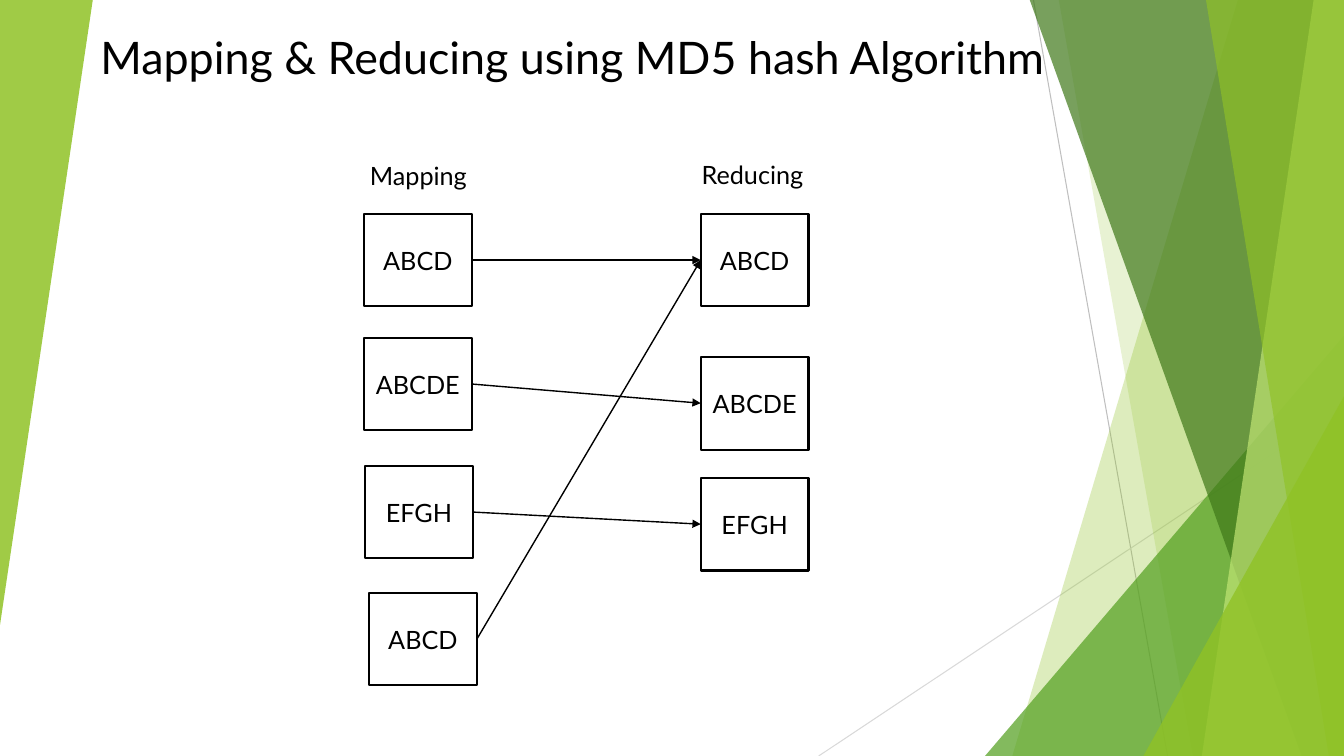
from pptx import Presentation
from pptx.dml.color import RGBColor
from pptx.enum.shapes import MSO_CONNECTOR, MSO_SHAPE
from pptx.enum.text import MSO_ANCHOR, MSO_AUTO_SIZE, PP_ALIGN
from pptx.oxml.ns import qn
from pptx.util import Inches, Pt
from lxml.etree import SubElement

FONT = "Lato"
BLACK, WHITE, LIME = "000000", "FFFFFF", "90C226"
TOP, RIGHT, BOTTOM = -0.01, 13.33, 7.5
BOX_W, BOX_H = 1.07, 0.92
LEFT_SITE, RIGHT_SITE = 1, 3


def color(code):
    return RGBColor.from_string(code)


def style(para, size, align=PP_ALIGN.LEFT):
    para.alignment = align
    para.font.name = FONT
    para.font.size = Pt(size)
    para.font.color.rgb = color(BLACK)


def tint(shape, code, alpha):
    """Fill a facet with a see-through colour and no outline."""
    shape.shadow.inherit = False
    shape.line.fill.background()
    shape.fill.solid()
    shape.fill.fore_color.rgb = color(code)
    rgb = shape.element.spPr.find(".//" + qn("a:srgbClr"))
    SubElement(rgb, qn("a:alpha"), val=str(alpha * 1000))


def add_band(slide, head, foot, code, alpha):
    """Facet between a slanted left edge and the right side of the slide."""
    points = [(Inches(x), Inches(y)) for x, y in
              [(head, TOP), (RIGHT, TOP), (RIGHT, BOTTOM), (foot, BOTTOM)]]
    draft = slide.shapes.build_freeform(*points[0])
    draft.add_line_segments(points[1:], close=True)
    tint(draft.convert_to_shape(), code, alpha)


def add_wedge(slide, left, top, width, height, code, alpha, turn=0):
    wedge = slide.shapes.add_shape(
        MSO_SHAPE.ISOSCELES_TRIANGLE,
        Inches(left), Inches(top), Inches(width), Inches(height))
    wedge.adjustments[0] = 1
    wedge.rotation = turn
    tint(wedge, code, alpha)


def add_line(slide, start, end, code, weight):
    line = slide.shapes.add_connector(
        MSO_CONNECTOR.STRAIGHT, *(Inches(n) for n in (*start, *end)))
    line.line.color.rgb = color(code)
    line.line.width = Pt(weight)
    SubElement(line.element.spPr, qn("a:effectLst"))
    return line


def add_arrow(slide, source, target):
    arrow = add_line(slide, (0, 0), (1, 1), BLACK, 1)
    arrow.begin_connect(source, RIGHT_SITE)
    arrow.end_connect(target, LEFT_SITE)
    SubElement(arrow.line._get_or_add_ln(), qn("a:tailEnd"), type="triangle")


def add_box(slide, text, left, top):
    box = slide.shapes.add_shape(
        MSO_SHAPE.RECTANGLE,
        Inches(left), Inches(top), Inches(BOX_W), Inches(BOX_H))
    box.shadow.inherit = False
    box.fill.solid()
    box.fill.fore_color.rgb = color(WHITE)
    box.line.color.rgb = color(BLACK)
    box.line.width = Pt(1.5)
    frame = box.text_frame
    frame.margin_left = frame.margin_right = Inches(0.05)
    frame.vertical_anchor = MSO_ANCHOR.MIDDLE
    frame.text = text
    style(frame.paragraphs[0], 18, PP_ALIGN.CENTER)
    return box


def add_label(slide, text, left, top):
    label = slide.shapes.add_textbox(
        Inches(left), Inches(top), Inches(2.48), Inches(0.4))
    frame = label.text_frame
    frame.word_wrap = True
    frame.text = text
    style(frame.paragraphs[0], 18)


def set_title(slide, text):
    title = slide.shapes.title
    title.left, title.top = Inches(-0.07), Inches(0.25)
    title.width, title.height = Inches(11.5), Inches(0.64)
    frame = title.text_frame
    frame.text = text
    frame.auto_size = MSO_AUTO_SIZE.NONE
    frame.vertical_anchor = MSO_ANCHOR.BOTTOM
    para = frame.paragraphs[0]
    style(para, 32, PP_ALIGN.CENTER)
    para.line_spacing = 0.9
    # Bring the title in front of the facets
    title.element.getparent().append(title.element)


def add_facets(slide):
    add_line(slide, (10.25, 0), (11.58, BOTTOM), "BFBFBF", 0.75)
    add_line(slide, (RIGHT, 4.03), (8.12, BOTTOM), "D9D9D9", 0.75)
    add_band(slide, 12.28, 10.04, LIME, 30)
    add_band(slide, 10.5, 11.83, LIME, 20)
    add_wedge(slide, 9.77, 3.33, 3.56, 4.17, "54A021", 72)
    add_band(slide, 10.21, 12.91, "3F7819", 70)
    add_band(slide, 13.03, 11.92, "C0E474", 70)
    add_band(slide, 11.96, 13.18, LIME, 65)
    add_wedge(slide, 11.34, 3.93, 1.99, 3.57, LIME, 80)
    add_wedge(slide, 0, 0, 0.92, 6.2, LIME, 85, turn=180)


def main():
    deck = Presentation()
    deck.slide_width, deck.slide_height = Inches(RIGHT), Inches(BOTTOM)
    slide = deck.slides.add_slide(deck.slide_layouts[5])
    add_facets(slide)

    # Boxes of both stages
    maps = [add_box(slide, *item) for item in [
        ("ABCD", 3.61, 2.12), ("ABCDE", 3.61, 3.35),
        ("EFGH", 3.62, 4.62), ("ABCD", 3.66, 5.88)]]
    reds = [add_box(slide, text, 6.95, top) for text, top in [
        ("ABCD", 2.12), ("ABCDE", 3.54), ("EFGH", 4.74)]]

    # Each mapped box leads to the reduced box with the same text
    goals = {box.text_frame.text: box for box in reds}
    for box in maps:
        add_arrow(slide, box, goals[box.text_frame.text])

    # Headings
    add_label(slide, "Mapping", 3.57, 1.54)
    add_label(slide, "Reducing", 6.86, 1.53)
    set_title(slide, "Mapping & Reducing using MD5 hash Algorithm")
    deck.save("out.pptx")


main()
